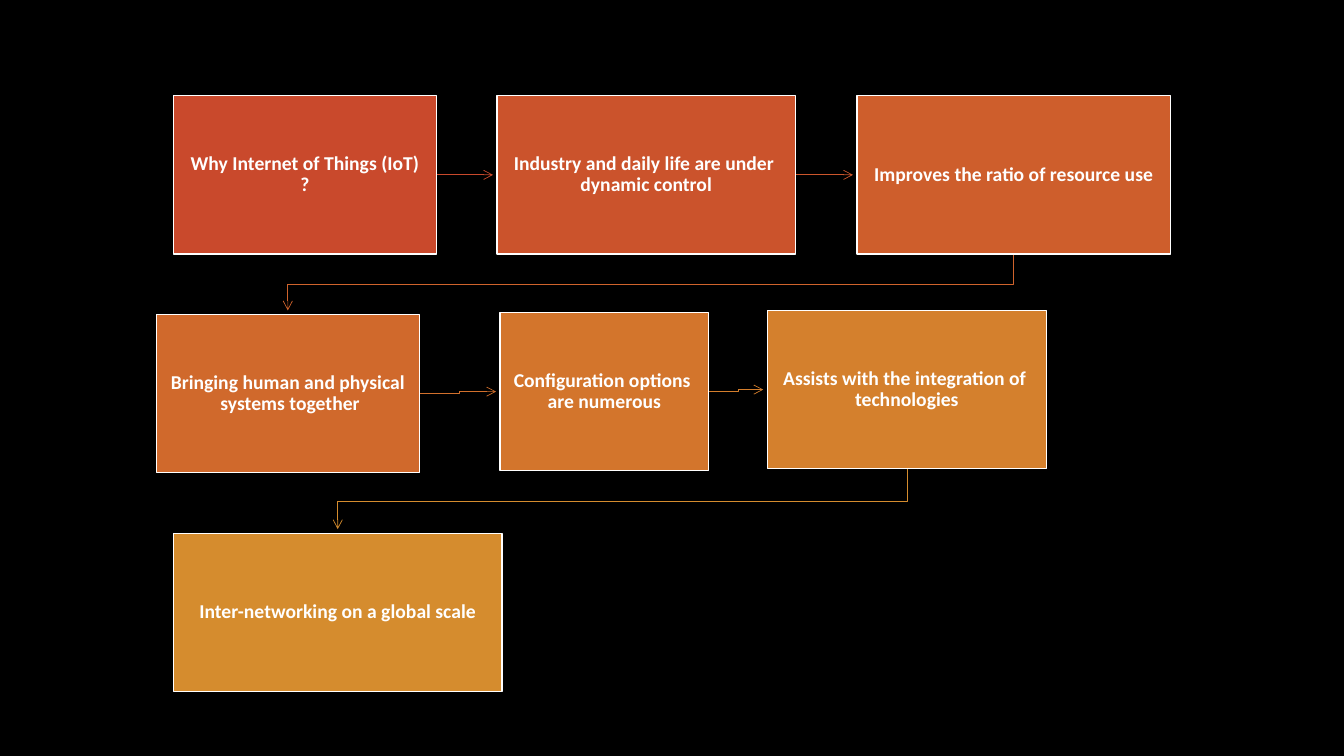
"""Builds a slide with a flow of seven boxes on why the Internet of Things matters."""
from dataclasses import dataclass
from itertools import pairwise

from lxml.etree import SubElement
from pptx import Presentation
from pptx.dml.color import RGBColor
from pptx.enum.shapes import MSO_CONNECTOR, MSO_SHAPE
from pptx.enum.text import MSO_ANCHOR, PP_ALIGN
from pptx.oxml.ns import qn
from pptx.util import Inches, Pt


@dataclass(frozen=True)
class Theme:
    background: str = "000000"
    text: str = "FFFFFF"
    border: str = "FFFFFF"
    font: str = "Calibri"
    size: float = 14
    border_width: float = 1
    arrow_width: float = 0.5
    inset: float = 0.13


@dataclass(frozen=True)
class Step:
    text: str
    left: float
    top: float
    width: float
    fill: str
    arrow: str = ""
    height: float = 1.57

    @property
    def center(self):
        return self.left + self.width / 2

    @property
    def middle(self):
        return self.top + self.height / 2


STEPS = [
    Step("Why Internet of Things (IoT)?", 1.72, 0.95, 2.61, "C9492C", "C9492C"),
    Step("Industry and daily life are under dynamic control", 4.93, 0.95, 2.96, "CB532C", "CC562C"),
    Step("Improves the ratio of resource use", 8.5, 0.95, 3.11, "CE5E2C", "CF632C"),
    Step("Bringing human and physical systems together", 1.55, 3.12, 2.61, "D0692C", "D2702C"),
    Step("Configuration options are numerous", 4.96, 3.1, 2.07, "D3752C", "D47E2C"),
    Step("Assists with the integration of technologies", 7.61, 3.08, 2.77, "D4802D", "D58C2E"),
    Step("Inter-networking on a global scale", 1.72, 5.29, 3.26, "D58C2E"),
]
ARROW_GAP = 0.04
BEND_SHIFT = 0.02
NO_BREAK_SPACE = chr(160)


def route(source, target):
    """Return the corner points of the arrow between two steps."""
    if target.left > source.left:
        start, end = source.left + source.width, target.left - ARROW_GAP
        if source.middle == target.middle:
            return [(start, source.middle), (end, target.middle)]
        bend = (start + end) / 2 + BEND_SHIFT
        return [(start, source.middle), (bend, source.middle),
                (bend, target.middle), (end, target.middle)]
    start, end = source.top + source.height, target.top - ARROW_GAP
    bend = (start + end) / 2 + BEND_SHIFT
    return [(source.center, start), (source.center, bend),
            (target.center, bend), (target.center, end)]


class FlowSlide:
    """Draws flow elements on one slide in one theme."""

    def __init__(self, slide, theme):
        self.slide = slide
        self.theme = theme
        fill = slide.background.fill
        fill.solid()
        fill.fore_color.rgb = RGBColor.from_string(theme.background)

    def box(self, step):
        """Draw one step as a filled box with centred text."""
        theme = self.theme
        box = self.slide.shapes.add_shape(
            MSO_SHAPE.RECTANGLE, Inches(step.left), Inches(step.top),
            Inches(step.width), Inches(step.height))
        box.shadow.inherit = False
        box.fill.solid()
        box.fill.fore_color.rgb = RGBColor.from_string(step.fill)
        box.line.color.rgb = RGBColor.from_string(theme.border)
        box.line.width = Pt(theme.border_width)
        frame = box.text_frame
        frame.word_wrap = True
        frame.vertical_anchor = MSO_ANCHOR.MIDDLE
        frame.margin_left = frame.margin_right = Inches(theme.inset)
        frame.margin_top = frame.margin_bottom = Inches(theme.inset)
        frame.text = step.text.replace(" ", NO_BREAK_SPACE)
        paragraph = frame.paragraphs[0]
        paragraph.alignment = PP_ALIGN.CENTER
        paragraph.line_spacing = 0.9
        font = paragraph.runs[0].font
        font.name, font.size, font.bold = theme.font, Pt(theme.size), True
        font.color.rgb = RGBColor.from_string(theme.text)

    def arrow(self, points, color):
        """Draw an arrow, straight or bent, through the points."""
        corners = [(Inches(x), Inches(y)) for x, y in points]
        if len(corners) == 2:
            arrow = self.slide.shapes.add_connector(
                MSO_CONNECTOR.STRAIGHT, *corners[0], *corners[1])
            SubElement(arrow._element.spPr, qn("a:effectLst"))
        else:
            builder = self.slide.shapes.build_freeform(*corners[0])
            builder.add_line_segments(corners[1:], close=False)
            arrow = builder.convert_to_shape()
            arrow.shadow.inherit = False
            arrow.fill.background()
        arrow.line.color.rgb = RGBColor.from_string(color)
        arrow.line.width = Pt(self.theme.arrow_width)
        SubElement(arrow.line._get_or_add_ln(), qn("a:tailEnd"), type="arrow")


def main():
    presentation = Presentation()
    presentation.slide_width = Inches(13.33)
    presentation.slide_height = Inches(7.5)
    slide = presentation.slides.add_slide(presentation.slide_layouts[6])
    flow = FlowSlide(slide, Theme())
    for source, target in pairwise(STEPS):
        flow.arrow(route(source, target), source.arrow)
    for step in STEPS:
        flow.box(step)
    presentation.save("out.pptx")


if __name__ == "__main__":
    main()
